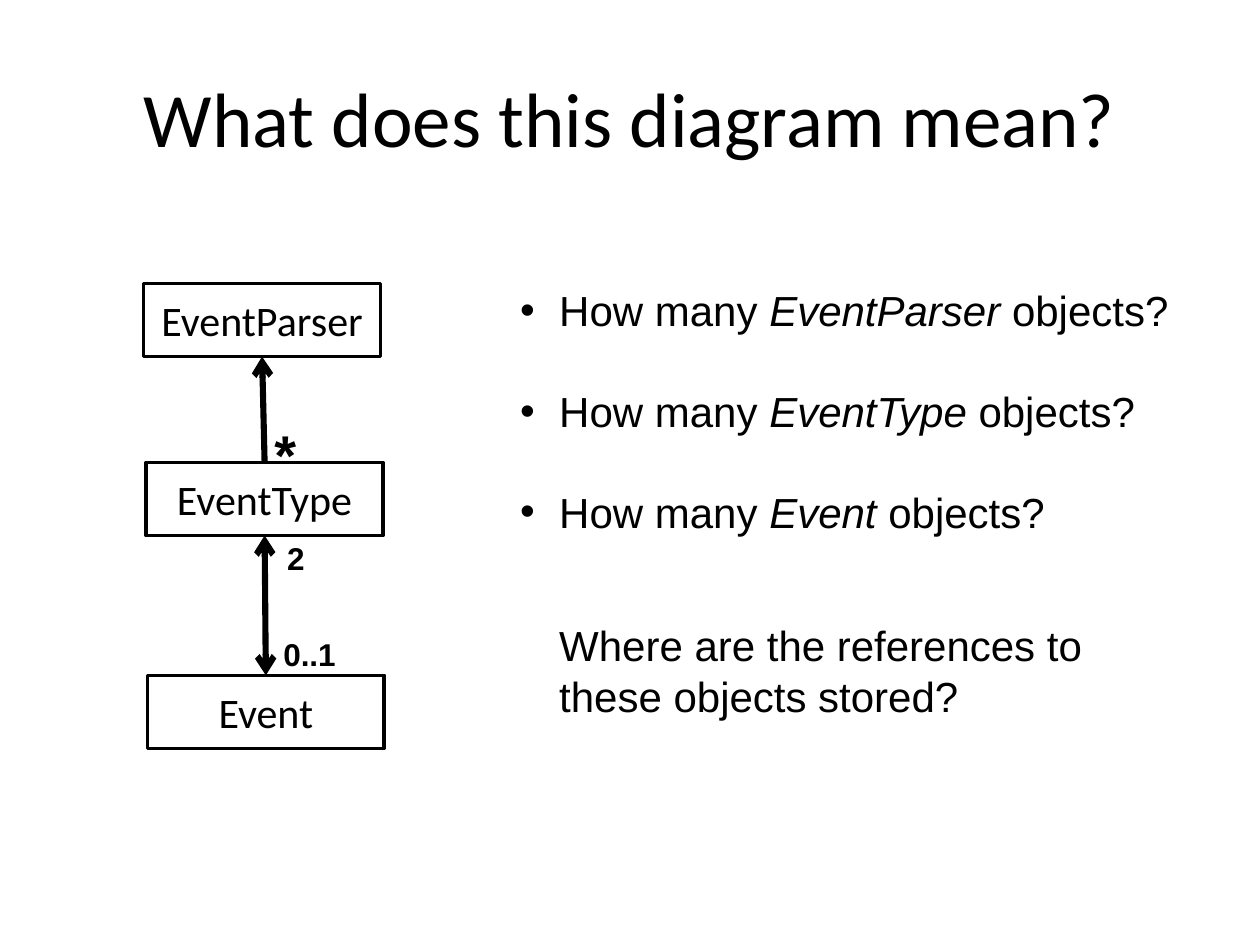
import pptx
import pptx.util
import pptx.dml.color
import pptx.enum.shapes
import pptx.enum.text
import pptx.oxml
import pptx.oxml.ns

Inches, Pt = pptx.util.Inches, pptx.util.Pt
RGB = pptx.dml.color.RGBColor.from_string
qn = pptx.oxml.ns.qn
ALIGN = pptx.enum.text.PP_ALIGN
MIDDLE = pptx.enum.text.MSO_ANCHOR.MIDDLE

theme = {
    "ink": RGB("000000"),
    "paper": RGB("FFFFFF"),
    "heading": "Calibri",
    "body": "Arial",
    "title": Pt(44),
    "text": Pt(24),
    "leading": Pt(28.8),
    "star": Pt(32),
    "label": Pt(18),
    "outline": Pt(2),
    "arrow": Pt(3.5),
}


def add_run(p, text, **formats):
    r = p.add_run()
    r.text = text
    for name, value in formats.items():
        setattr(r.font, name, value)
    r.font.color.rgb = theme["ink"]


def add_text(s, box, wrap=True):
    sp = s.shapes.add_textbox(*map(Inches, box))
    sp.text_frame.word_wrap = wrap
    return sp.text_frame


prs = pptx.Presentation()
prs.slide_width, prs.slide_height = Inches(10), Inches(7.5)
s = prs.slides.add_slide(prs.slide_layouts[6])

tf = add_text(s, (0.5, 0.3, 9, 1.25))
tf.vertical_anchor = MIDDLE
tf.paragraphs[0].alignment = ALIGN.CENTER
add_run(tf.paragraphs[0], "What does this diagram mean?", name=theme["heading"], size=theme["title"])

classes = {}
for name, left, top in [("EventParser", 1.14, 2.25), ("EventType", 1.16, 3.67), ("Event", 1.17, 5.36)]:
    sp = s.shapes.add_shape(pptx.enum.shapes.MSO_SHAPE.RECTANGLE,
                            Inches(left), Inches(top), Inches(1.88), Inches(0.58))
    sp.shadow.inherit = False
    sp.fill.solid()
    sp.fill.fore_color.rgb = theme["paper"]
    sp.line.color.rgb = theme["ink"]
    sp.line.width = theme["outline"]
    tf = sp.text_frame
    tf.vertical_anchor = MIDDLE
    p = tf.paragraphs[0]
    p.alignment = ALIGN.CENTER
    add_run(p, name, name=theme["heading"], size=theme["text"])
    classes[name] = sp

for start, start_site, end, end_site, ends in [
    ("EventType", 2, "Event", 0, ("headEnd", "tailEnd")),
    ("EventType", 0, "EventParser", 2, ("tailEnd",)),
]:
    link = s.shapes.add_connector(pptx.enum.shapes.MSO_CONNECTOR.STRAIGHT, 0, 0, 0, 0)
    link.begin_connect(classes[start], start_site)
    link.end_connect(classes[end], end_site)
    link.line.color.rgb = theme["ink"]
    link.line.width = theme["arrow"]
    spPr = link._element.spPr
    ln = spPr.find(qn("a:ln"))
    for tag in ends:
        ln.append(ln.makeelement(qn("a:" + tag), {"type": "arrow"}))
    spPr.append(spPr.makeelement(qn("a:effectLst"), {}))

for text, size, box in [
    ("*", "star", (2.08, 3.28, 0.37, 0.63)),
    ("2", "label", (2.18, 4.23, 0.34, 0.4)),
    ("0..1", "label", (2.15, 4.99, 0.7, 0.4)),
]:
    tf = add_text(s, box, wrap=False)
    add_run(tf.paragraphs[0], text, name=theme["body"], size=theme[size], bold=True)

body = {"name": theme["body"], "size": theme["text"]}
tf = add_text(s, (4.03, 2.21, 5.52, 2.12))
for i, name in enumerate(classes):
    p = tf.paragraphs[0] if i == 0 else tf.add_paragraph()
    p.line_spacing = theme["leading"]
    p.space_before = theme["leading"] if i else Pt(0)
    pPr = p._p.get_or_add_pPr()
    pPr.set("marL", str(Inches(0.31)))
    pPr.set("indent", str(Inches(-0.31)))
    for tag, attrs in [("a:buFont", {"typeface": theme["body"]}), ("a:buChar", {"char": "•"})]:
        pPr.append(pPr.makeelement(qn(tag), attrs))
    add_run(p, "How many ", **body)
    add_run(p, name, italic=True, **body)
    add_run(p, " objects?", **body)

tf = add_text(s, (4.34, 4.87, 4.63, 0.91))
tf.paragraphs[0].line_spacing = theme["leading"]
add_run(tf.paragraphs[0], "Where are the references to these objects stored?", **body)

prs.save("out.pptx")
